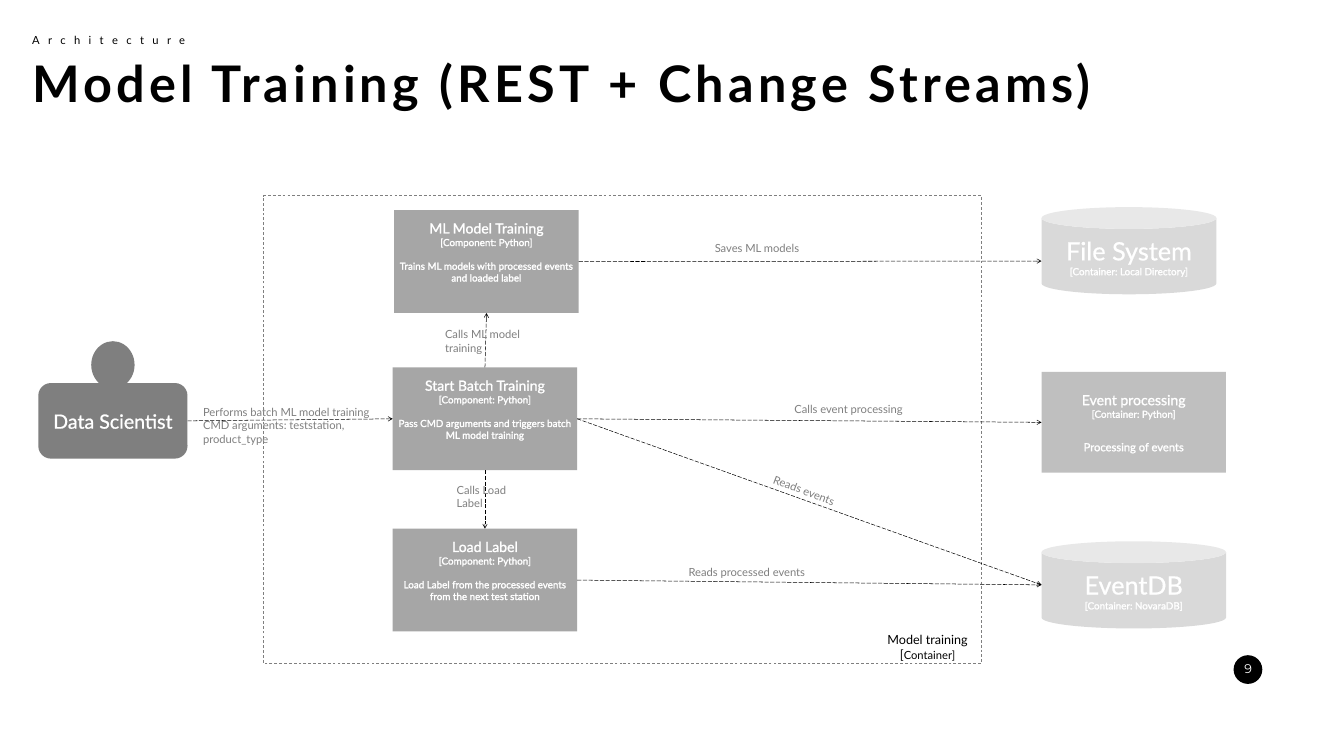
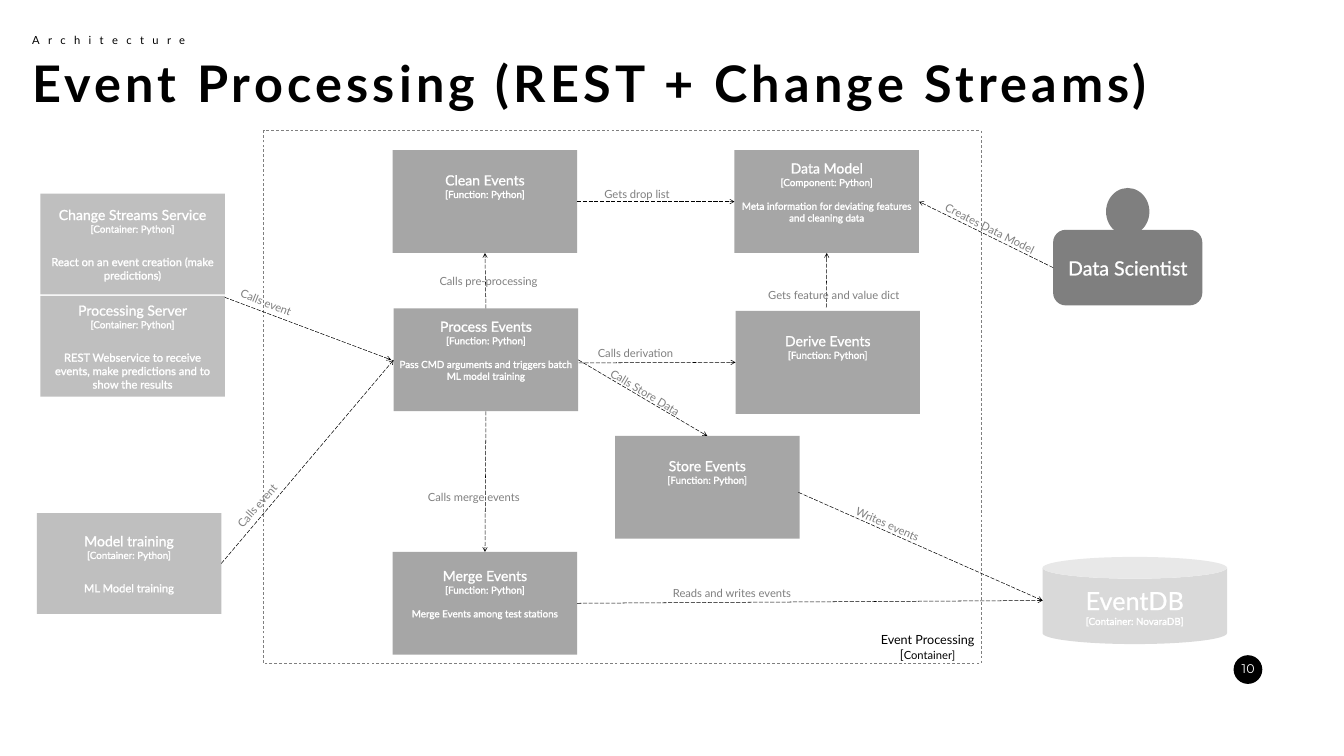
from dataclasses import dataclass

import pptx
import pptx.dml.color
import pptx.enum.dml
import pptx.enum.shapes
import pptx.enum.text
import pptx.oxml
import pptx.oxml.ns
import pptx.util
from pptx.util import Inches

SHAPE = pptx.enum.shapes.MSO_SHAPE
DASH = pptx.enum.dml.MSO_LINE
ALIGN = pptx.enum.text.PP_ALIGN
ANCHOR = pptx.enum.text.MSO_ANCHOR
AUTO_SIZE = pptx.enum.text.MSO_AUTO_SIZE
TOP, LEFT, BOTTOM, RIGHT = range(4)


@dataclass(frozen=True)
class Theme:
    font: str = "Lato"
    number_font: str = "Montserrat"
    black: str = "000000"
    white: str = "FFFFFF"
    person: str = "7F7F7F"
    component: str = "A6A6A6"
    container: str = "BFBFBF"
    store: str = "D9D9D9"
    label: str = "7F7F7F"
    title_size: int = 72
    store_size: int = 36
    person_size: int = 28
    name_size: int = 20
    caption_size: int = 18
    label_size: int = 16
    kind_size: int = 14


THEME = Theme()
EVENT_STORE = ("EventDB", "NovaraDB")
NAMESPACE = pptx.oxml.ns.nsdecls("a")


def rgb(color):
    return pptx.dml.color.RGBColor.from_string(color)


# Text
def add_run(paragraph, text, size, color=THEME.black, font=THEME.font, bold=False, spacing=0):
    run = paragraph.add_run()
    run.text = text
    run.font.name = font
    run.font.size = pptx.util.Pt(size)
    run.font.bold = bold
    run.font.color.rgb = rgb(color)
    if spacing:
        run._r.get_or_add_rPr().set("spc", str(spacing * 100))
    return run


def add_outlined_run(paragraph, text, size):
    run = add_run(paragraph, text, size, THEME.white)
    outline = pptx.oxml.parse_xml(
        f'<a:ln {NAMESPACE} w="9525"><a:solidFill><a:srgbClr val="{THEME.white}"/>'
        "</a:solidFill></a:ln>")
    run._r.get_or_add_rPr().insert(0, outline)


def add_text_box(slide, left, top, width, height, wrap=True):
    box = slide.shapes.add_textbox(Inches(left), Inches(top), Inches(width), Inches(height))
    box.text_frame.word_wrap = wrap
    box.text_frame.auto_size = AUTO_SIZE.SHAPE_TO_FIT_TEXT
    return box


def add_label(slide, left, top, *lines, rows=None, rotation=0):
    height = 0.1 + 0.27 * (rows or len(lines))
    box = add_text_box(slide, left, top, 3.77, height)
    box.rotation = rotation
    paragraph = box.text_frame.paragraphs[0]
    for index, line in enumerate(lines):
        if index:
            paragraph.add_line_break()
        add_run(paragraph, line, THEME.label_size, THEME.label)


# Shapes
def add_filled(shapes, kind, left, top, width, height, color):
    shape = shapes.add_shape(kind, Inches(left), Inches(top), Inches(width), Inches(height))
    shape.shadow.inherit = False
    shape.fill.solid()
    shape.fill.fore_color.rgb = rgb(color)
    shape.line.fill.background()
    return shape


def write_centered(shape, rows):
    """Fill a shape with rows of (text, size, space before in points)."""
    frame = shape.text_frame
    frame.word_wrap = True
    frame.vertical_anchor = ANCHOR.MIDDLE
    for index, (text, size, space) in enumerate(rows):
        paragraph = frame.add_paragraph() if index else frame.paragraphs[0]
        paragraph.alignment = ALIGN.CENTER
        paragraph.space_before = pptx.util.Pt(space)
        add_outlined_run(paragraph, text, size)


def add_component(slide, left, top, name, kind, description=None):
    box = add_filled(slide.shapes, SHAPE.RECTANGLE, left, top, 3.66, 2.04, THEME.component)
    rows = [(name, THEME.name_size, 0), (f"[{kind}: Python]", THEME.kind_size, 0)]
    if description:
        rows.append((description, THEME.kind_size, 17))
    write_centered(box, rows)
    box.text_frame.margin_bottom = Inches(0.45 if description else 0.68)
    return box


def add_container(slide, left, top, name, description):
    box = add_filled(slide.shapes, SHAPE.RECTANGLE, left, top, 3.66, 2, THEME.container)
    write_centered(box, [(name, THEME.name_size, 0),
                         ("[Container: Python]", THEME.kind_size, 0),
                         (description, THEME.label_size, 29)])
    return box


def add_store(slide, left, top, name, kind, width=3.66):
    """Draw a storage cylinder and return the middle of its left side."""
    height = 1.73
    can = add_filled(slide.shapes, SHAPE.CAN, left, top, width, height, THEME.store)
    write_centered(can, [(name, THEME.store_size, 0),
                         (f"[Container: {kind}]", THEME.kind_size, 0)])
    return left, top + height / 2


def add_person(slide, left, top, name):
    group = slide.shapes.add_group_shape()
    body = add_filled(group.shapes, SHAPE.ROUNDED_RECTANGLE, left, top + 0.83, 2.96, 1.5,
                      THEME.person)
    write_centered(body, [(name, THEME.person_size, 0)])
    add_filled(group.shapes, SHAPE.OVAL, left + 1.05, top, 0.86, 0.94, THEME.person)
    return body


def add_boundary(slide, top, name):
    bottom = 13.17
    frame = slide.shapes.add_shape(SHAPE.RECTANGLE, Inches(5.23), Inches(top),
                                   Inches(14.23), Inches(bottom - top))
    frame.shadow.inherit = False
    frame.fill.background()
    frame.line.color.rgb = rgb(THEME.label)
    frame.line.width = pptx.util.Pt(1)
    frame.line.dash_style = DASH.DASH

    caption = add_text_box(slide, 16.99, 12.49, 2.82, 0.71)
    paragraph = caption.text_frame.paragraphs[0]
    paragraph.alignment = ALIGN.CENTER
    add_run(paragraph, name, THEME.caption_size)
    paragraph.add_line_break()
    add_run(paragraph, "[", THEME.caption_size)
    add_run(paragraph, "Container]", THEME.label_size)


# Arrows: each end is either an (x, y) point or a (shape, side) pair
def add_arrow(slide, start, end):
    joined = [not isinstance(target[0], (int, float)) for target in (start, end)]
    x1, y1 = (0, 0) if joined[0] else start
    x2, y2 = (0, 0) if joined[1] else end
    arrow = slide.shapes.add_connector(pptx.enum.shapes.MSO_CONNECTOR.STRAIGHT,
                                       Inches(x1), Inches(y1), Inches(x2), Inches(y2))
    if joined[0]:
        arrow.begin_connect(*start)
    if joined[1]:
        arrow.end_connect(*end)
    arrow.line.color.rgb = rgb(THEME.black)
    arrow.line.width = pptx.util.Pt(0.75)
    arrow.line.dash_style = DASH.LONG_DASH
    arrow.line._get_or_add_ln().append(
        pptx.oxml.parse_xml(f'<a:tailEnd {NAMESPACE} type="arrow"/>'))
    arrow._element.spPr.append(pptx.oxml.parse_xml(f"<a:effectLst {NAMESPACE}/>"))


# Slide frame: page number, section and title
def add_slide(presentation, title, number):
    slide = presentation.slides.add_slide(presentation.slide_layouts[6])
    add_filled(slide.shapes, SHAPE.OVAL, 24.47, 13, 0.57, 0.57, THEME.black)
    page = add_text_box(slide, 24.33, 13.01, 0.86, 0.5, wrap=False)
    frame = page.text_frame
    frame.margin_left = frame.margin_right = Inches(0.2)
    frame.margin_top = frame.margin_bottom = Inches(0.1)
    frame.paragraphs[0].alignment = ALIGN.CENTER
    add_run(frame.paragraphs[0], str(number), THEME.caption_size, THEME.white,
            THEME.number_font)

    section = add_text_box(slide, 0.54, 0.61, 3.42, 0.37, wrap=False)
    add_run(section.text_frame.paragraphs[0], "Architecture", THEME.label_size, spacing=12)
    heading = add_text_box(slide, 0.54, 0.98, 25.88, 1.31)
    add_run(heading.text_frame.paragraphs[0], title, THEME.title_size, bold=True, spacing=6)
    return slide


def build_model_training(presentation):
    slide = add_slide(presentation, "Model Training (REST + Change Streams)", 9)
    add_boundary(slide, 3.88, "Model training")

    # Actors, components and stores
    scientist = add_person(slide, 0.76, 6.77, "Data Scientist")
    training = add_component(slide, 7.82, 4.17, "ML Model Training", "Component",
                             "Trains ML models with processed events and loaded label")
    batch = add_component(slide, 7.79, 7.29, "Start Batch Training", "Component",
                          "Pass CMD arguments and triggers batch ML model training")
    load = add_component(slide, 7.79, 10.49, "Load Label", "Component",
                         "Load Label from the processed events from the next test station")
    add_store(slide, 20.66, 4.11, "File System", "Local Directory", width=3.47)
    processing = add_container(slide, 20.66, 7.38, "Event processing", "Processing of events")
    event_db = add_store(slide, 20.66, 10.74, *EVENT_STORE)

    # Arrows
    for start, end in [
        ((scientist, RIGHT), (batch, LEFT)),
        ((batch, RIGHT), (processing, LEFT)),
        ((batch, RIGHT), event_db),
        ((load, RIGHT), event_db),
        ((batch, BOTTOM), (load, TOP)),
        ((batch, TOP), (training, BOTTOM)),
        ((training, RIGHT), (20.66, 5.18)),
    ]:
        add_arrow(slide, start, end)

    # Arrow labels
    add_label(slide, 3.93, 7.99, "Performs batch ML model training",
              "CMD arguments: teststation, product_type", rows=3)
    add_label(slide, 15.66, 7.94, "Calls event processing")
    add_label(slide, 15.14, 9.95, "Reads events", rotation=20.7)
    add_label(slide, 8.96, 9.54, "Calls Load", "Label")
    add_label(slide, 13.56, 11.16, "Reads processed events")
    add_label(slide, 8.73, 6.45, "Calls ML model", "training")
    add_label(slide, 14.08, 4.74, "Saves ML models")


def build_event_processing(presentation):
    slide = add_slide(presentation, "Event Processing (REST + Change Streams)", 10)
    add_boundary(slide, 2.59, "Event Processing")

    # Actors, components and stores
    add_container(slide, 0.8, 3.84, "Change Streams Service",
                  "React on an event creation (make predictions)")
    add_container(slide, 0.8, 5.87, "Processing Server",
                  "REST Webservice to receive events, make predictions and to show the results")
    training = add_container(slide, 0.73, 10.18, "Model training", "ML Model training")
    clean = add_component(slide, 7.79, 2.98, "Clean Events", "Function")
    process = add_component(slide, 7.81, 6.12, "Process Events", "Function",
                            "Pass CMD arguments and triggers batch ML model training")
    merge = add_component(slide, 7.79, 10.95, "Merge Events", "Function",
                          "Merge Events among test stations")
    data_model = add_component(slide, 14.57, 2.98, "Data Model", "Component",
                               "Meta information for deviating features and cleaning data")
    derive = add_component(slide, 14.59, 6.17, "Derive Events", "Function")
    store = add_component(slide, 12.2, 8.65, "Store Events", "Function")
    event_db = add_store(slide, 20.68, 11.05, *EVENT_STORE)
    scientist = add_person(slide, 20.89, 3.73, "Data Scientist")

    # Arrows
    for start, end in [
        ((4.46, 5.9), (7.76, 7.14)),
        ((training, RIGHT), (process, LEFT)),
        ((clean, RIGHT), (data_model, LEFT)),
        ((process, TOP), (clean, BOTTOM)),
        ((11.48, 7.2), (derive, LEFT)),
        ((16.39, 6.1), (data_model, BOTTOM)),
        ((process, BOTTOM), (merge, TOP)),
        ((merge, RIGHT), event_db),
        ((process, RIGHT), (store, TOP)),
        ((15.84, 9.77), event_db),
        ((scientist, LEFT), (data_model, RIGHT)),
    ]:
        add_arrow(slide, start, end)

    # Arrow labels
    for left, top, text, rotation in [
        (4.56, 6.28, "Calls event", 21.6),
        (4.04, 8.9, "Calls event", 311),
        (8.39, 9.67, "Calls merge events", 0),
        (11.89, 3.67, "Gets drop list", 0),
        (11.76, 6.83, "Calls derivation", 0),
        (15.14, 5.68, "Gets feature and value dict", 0),
        (8.62, 5.4, "Calls pre-processing", 0),
        (13.25, 11.58, "Reads and writes events", 0),
        (16.74, 10.67, "Writes events", 23.8),
        (11.78, 8.12, "Calls Store Data", 30.9),
        (18.48, 4.72, "Creates Data Model", 26.7),
    ]:
        add_label(slide, left, top, text, rotation=rotation)


def main():
    presentation = pptx.Presentation()
    presentation.slide_width = Inches(26.66)
    presentation.slide_height = Inches(15)
    build_model_training(presentation)
    build_event_processing(presentation)
    presentation.save("out.pptx")


if __name__ == "__main__":
    main()
